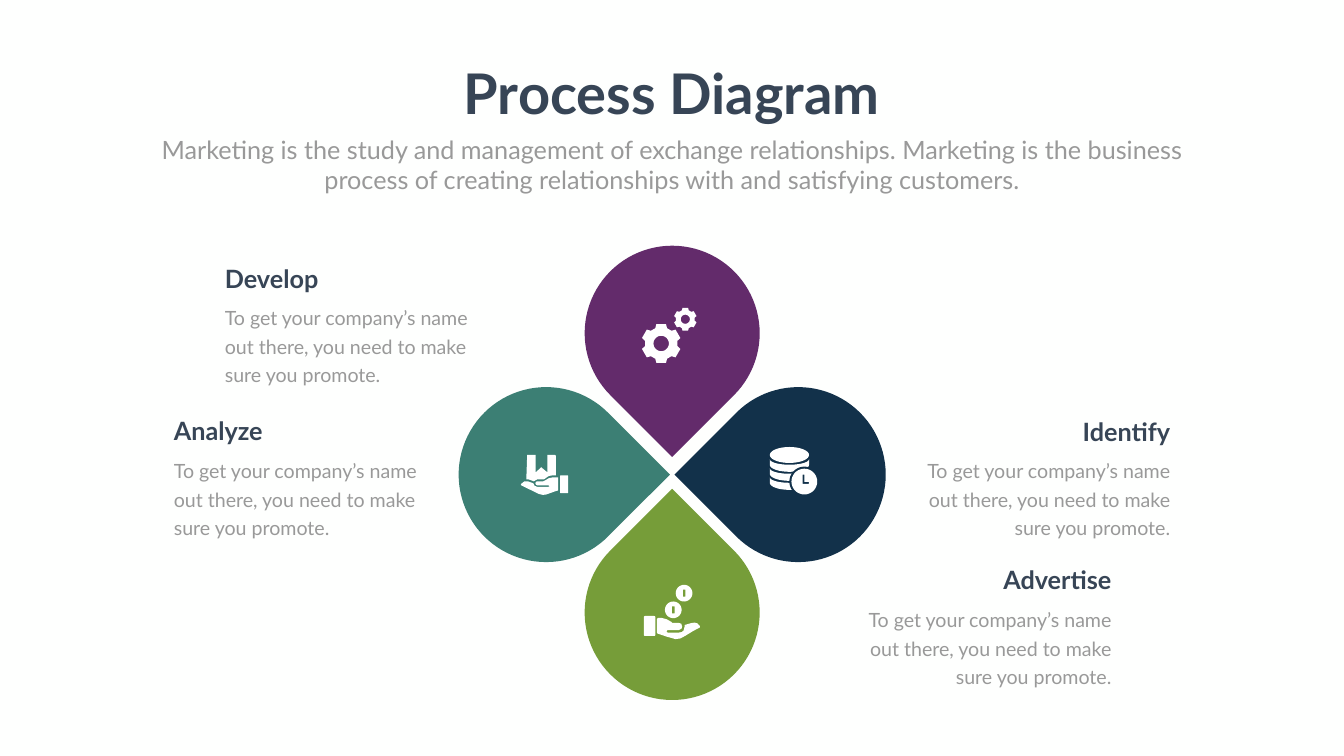
import math

import pptx
import pptx.util
from pptx.dml.color import RGBColor
from pptx.enum.shapes import MSO_SHAPE
from pptx.enum.text import MSO_ANCHOR, MSO_AUTO_SIZE, PP_ALIGN

Pt = pptx.util.Pt

BACKGROUND = RGBColor(0xFE, 0xFF, 0xFE)
WHITE = RGBColor(0xFF, 0xFF, 0xFF)
INK = RGBColor(0x37, 0x45, 0x56)
GREY = RGBColor(0x99, 0x99, 0x99)
NAVY = RGBColor(0x12, 0x31, 0x4A)
TEAL = RGBColor(0x3C, 0x7F, 0x74)
GREEN = RGBColor(0x76, 0x9D, 0x39)
PURPLE = RGBColor(0x63, 0x2B, 0x6B)

HEADING = {"name": "Lato", "size": Pt(36), "bold": True}
BODY = {"name": "Lato", "size": Pt(28), "bold": False}
TITLE = {"name": "Lato", "size": Pt(80), "bold": True}
SUBTITLE = {"name": "Lato", "size": Pt(36), "bold": False}

prs = pptx.Presentation()
prs.slide_width, prs.slide_height = Pt(1919.5), Pt(1080)
s = prs.slides.add_slide(prs.slide_layouts[0])
s.background.fill.solid()
s.background.fill.fore_color.rgb = BACKGROUND


def paint(sp, color):
    sp.shadow.inherit = False
    sp.fill.solid()
    sp.fill.fore_color.rgb = color
    sp.line.fill.background()


def arc(cx, cy, rx, ry, start=0, end=360, steps=36):
    """Return points along an ellipse, with angles in degrees."""
    angles = [math.radians(start + (end - start) * i / steps) for i in range(steps + 1)]
    return [(cx + rx * math.cos(a), cy + ry * math.sin(a)) for a in angles]


# Petals
for cx, cy, rotation, color in [
    (1140, 678, 225, NAVY),
    (780, 678, 45, TEAL),
    (960, 875, 315, GREEN),
    (960, 476, 135, PURPLE),
]:
    sp = s.shapes.add_shape(MSO_SHAPE.TEAR, Pt(cx - 125), Pt(cy - 125), Pt(250), Pt(250))
    sp.rotation = rotation
    paint(sp, color)

# Icons: each is a colour and its outlines; a second outline is a hole
icons = []

# Gears
for cx, cy, radius, hole in [(944.3, 490.7, 28.5, 11), (978.8, 456.1, 16.6, 6.5)]:
    outline = []
    for tooth in range(6):
        for degrees, share in [(-14, 1), (14, 1), (21, 0.82), (39, 0.82)]:
            a = math.radians(60 * tooth - 90 + degrees)
            outline.append((cx + radius * share * math.cos(a), cy + radius * share * math.sin(a)))
    icons.append((WHITE, [outline, arc(cx, cy, hole, hole)]))

# Database discs
icons.append((WHITE, [arc(1127.5, 650, 28, 11.4)]))
for band in range(3):
    y = 656 + 12.9 * band
    upper = arc(1127.5, y, 28, 7.9, 180, 0)
    lower = arc(1127.5, y + 7.9, 28, 10.1, 0, 180)
    icons.append((WHITE, [upper + lower]))

# Clock with a clear rim around it
icons.append((NAVY, [arc(1148.8, 688, 21.4, 21.4)]))
clock_hands = [(1146.2, 678), (1149, 678), (1149, 688.3), (1155.4, 688.3), (1155.4, 691.2), (1146.2, 691.2)]
icons.append((WHITE, [arc(1148.8, 688, 18.4, 18.4), clock_hands]))

# Coins
for cx, cy in [(977, 847.4), (961.6, 871.2)]:
    slot = [(cx - 1.8, cy - 5), (cx + 1.8, cy - 5), (cx + 1.8, cy + 5), (cx - 1.8, cy + 5)]
    icons.append((WHITE, [arc(cx, cy, 11.9, 11.9), slot]))

parcel = [
    (753, 650), (765, 650), (765, 675), (773, 667.5), (782, 675), (782, 650),
    (793, 650), (794, 651), (794, 679), (790, 679), (784, 680), (777, 684.7),
    (767.5, 684.7), (762.5, 687.6), (754.5, 684.7), (751.7, 684.7),
]
parcel_hand = [
    (797, 681.8), (790.5, 681.8), (784, 683), (779, 686), (776, 687.6),
    (767.5, 687.6), (765.5, 688.3), (764.6, 690.5), (765.5, 692.5), (767.5, 693.4),
    (783.4, 693.4), (784.8, 694.4), (783.4, 695.5), (767.5, 695.5), (763.5, 694),
    (761.8, 690.5), (753.8, 687.6), (749, 687.6), (744.5, 691.2), (743.8, 692.6),
    (744.5, 693.4), (758, 700), (769, 705.5), (775.4, 707), (780, 706.5),
    (790.6, 702.7), (797, 700.6),
]
coin_hand = [
    (999.4, 894.2), (996, 890.5), (992, 889.5), (987.8, 890), (977.8, 892.8),
    (977.8, 895), (976.3, 900.7), (973.5, 903), (969.8, 903.6), (953.3, 903.6),
    (951.8, 901.8), (953.3, 900), (969.8, 900), (973.4, 898), (974.2, 895),
    (973, 891), (969.8, 890), (960, 890), (959, 888.5), (952, 884.5),
    (944.6, 882.7), (939.6, 882.7), (938.2, 884.2), (938.2, 903.6), (939, 905),
    (951.8, 909.4), (964.8, 913), (972, 912), (979.2, 908), (990, 901.4), (999.4, 896.4),
]
icons += [(WHITE, [outline]) for outline in (parcel, parcel_hand, coin_hand)]

for color, outlines in icons:
    builder = None
    for outline in outlines:
        points = [(Pt(x), Pt(y)) for x, y in outline]
        if builder is None:
            builder = s.shapes.build_freeform(*points[0])
        else:
            builder.move_to(*points[0])
        builder.add_line_segments(points[1:], close=True)
    paint(builder.convert_to_shape(), color)

# Cuffs
for x, y, w, h in [(800, 679, 11.5, 25.5), (919.5, 880, 16.5, 28.5)]:
    sp = s.shapes.add_shape(MSO_SHAPE.ROUNDED_RECTANGLE, Pt(x), Pt(y), Pt(w), Pt(h))
    sp.adjustments[0] = 0.1
    paint(sp, WHITE)

# Texts: shape, box, words, alignment, font, colour, line spacing, wrap
CAPTION = "To get your company’s name out there, you need to make sure you promote."
texts = [
    (s.shapes.title, (648.7, 80.6, 621.4, 104.4), "Process Diagram",
     PP_ALIGN.CENTER, TITLE, INK, None, False),
    (s.placeholders[1], (210.2, 188, 1499, 94.3),
     "Marketing is the study and management of exchange relationships. Marketing is the "
     "business process of creating relationships with and satisfying customers.",
     PP_ALIGN.CENTER, SUBTITLE, GREY, None, True),
]
for heading, left, top, align in [
    ("Develop", 314, 372.2, PP_ALIGN.LEFT),
    ("Analyze", 241.2, 590.4, PP_ALIGN.LEFT),
    ("Identify", 1296.7, 590.8, PP_ALIGN.RIGHT),
    ("Advertise", 1212.8, 803.2, PP_ALIGN.RIGHT),
]:
    heading_left = left if align == PP_ALIGN.LEFT else left + 381.6 - 188
    for box, words, font, color, spacing in [
        ((heading_left, top, 188, 51), heading, HEADING, INK, None),
        ((left, top + 54.5, 381.6, 127.4), CAPTION, BODY, GREY, Pt(40.8)),
    ]:
        sp = s.shapes.add_textbox(0, 0, 0, 0)
        texts.append((sp, box, words, align, font, color, spacing, True))

for sp, box, words, align, font, color, spacing, wrap in texts:
    sp.left, sp.top, sp.width, sp.height = [Pt(v) for v in box]
    tf = sp.text_frame
    tf.word_wrap = wrap
    tf.auto_size = MSO_AUTO_SIZE.SHAPE_TO_FIT_TEXT
    tf.vertical_anchor = MSO_ANCHOR.TOP
    p = tf.paragraphs[0]
    p.alignment = align
    p.space_before = Pt(0)
    if spacing:
        p.line_spacing = spacing
    r = p.add_run()
    r.text = words
    for name, value in font.items():
        setattr(r.font, name, value)
    r.font.color.rgb = color

prs.save("out.pptx")
